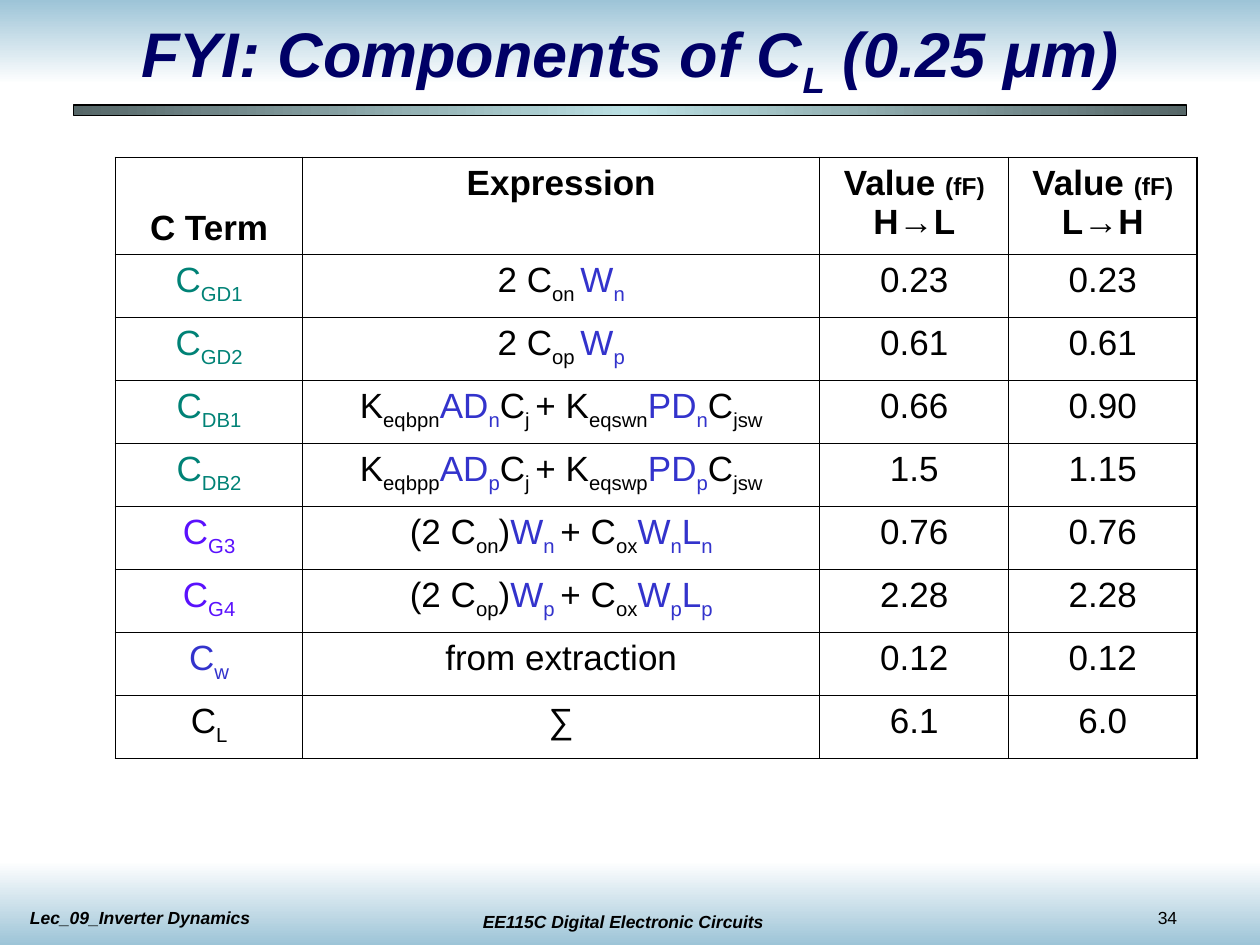
"""Builds the slide listing the components of the load capacitance."""
from lxml import etree
from pptx import Presentation
from pptx.dml.color import RGBColor
from pptx.enum.shapes import MSO_SHAPE
from pptx.enum.text import MSO_ANCHOR, PP_ALIGN
from pptx.oxml.ns import qn
from pptx.util import Pt

RECT = MSO_SHAPE.RECTANGLE
TOP, MIDDLE, BOTTOM = MSO_ANCHOR.TOP, MSO_ANCHOR.MIDDLE, MSO_ANCHOR.BOTTOM
LEFT, CENTER = PP_ALIGN.LEFT, PP_ALIGN.CENTER

BLACK = RGBColor(0x00, 0x00, 0x00)
WHITE = RGBColor(0xFF, 0xFF, 0xFF)
SKY = RGBColor(0x9D, 0xC4, 0xD7)
SLATE = RGBColor(0x56, 0x67, 0x68)
AQUA = RGBColor(0xBB, 0xE0, 0xE3)
NAVY = RGBColor(0x00, 0x00, 0x66)
TEAL = RGBColor(0x00, 0x82, 0x76)
VIOLET = RGBColor(0x5A, 0x11, 0xFD)
BLUE = RGBColor(0x33, 0x33, 0xCC)

FONT = "Arial"
THIN, THICK = 0.45, 1.08
COLUMNS = [107, 295.5, 108, 107.5]
HEADER_HEIGHT, ROW_HEIGHT = 55.5, 36
HEADER = ["C Term", "Expression", "Value *(fF)* H→L", "Value *(fF)* L→H"]
ROWS = [
    (TEAL, "C~GD1~", "2 C~on ~*W~n~*", "0.23", "0.23"),
    (TEAL, "C~GD2~", "2 C~op ~*W~p~*", "0.61", "0.61"),
    (TEAL, "C~DB1~", "K~eqbpn~*AD~n~*C~j ~+ K~eqswn~*PD~n~*C~jsw~", "0.66", "0.90"),
    (TEAL, "C~DB2~", "K~eqbpp~*AD~p~*C~j ~+ K~eqswp~*PD~p~*C~jsw~", "1.5", "1.15"),
    (VIOLET, "C~G3~", "(2 C~on~)*W~n ~*+ C~ox~*W~n~L~n~*", "0.76", "0.76"),
    (VIOLET, "C~G4~", "(2 C~op~)*W~p ~*+ C~ox~*W~p~L~p~*", "2.28", "2.28"),
    (BLUE, "C~w~", "from extraction", "0.12", "0.12"),
    (BLACK, "C~L~", "∑", "6.1", "6.0"),
]


def write(p, text, size, color=BLACK, accent=BLUE, bold=False, italic=False):
    """Write text with *accented* and ~subscript~ parts."""
    for i, part in enumerate(text.split("*")):
        for j, piece in enumerate(part.split("~")):
            if not piece:
                continue
            r = p.add_run()
            r.text = piece
            r.font.name = FONT
            r.font.size = Pt(size)
            r.font.bold = bold
            r.font.italic = italic
            r.font.color.rgb = accent if i % 2 else color
            if j % 2:
                r.font._element.set("baseline", "-25000")


def add_band(slide, left, top, width, height, colors, angle):
    """Add a rectangle with evenly spaced gradient colours."""
    s = slide.shapes.add_shape(RECT, Pt(left), Pt(top), Pt(width), Pt(height))
    s.shadow.inherit = False
    s.line.fill.background()
    s.fill.gradient()
    s.fill.gradient_angle = angle
    stops = s._element.spPr.find(".//" + qn("a:gsLst"))
    stops.clear()
    for i, color in enumerate(colors):
        position = 100000 * i // (len(colors) - 1)
        stop = etree.SubElement(stops, qn("a:gs"), pos=str(position))
        etree.SubElement(stop, qn("a:srgbClr"), val=str(color))
    return s


def add_text(slide, left, top, width, height, text, size, align=LEFT,
             anchor=TOP, **style):
    """Add a wrapped text box with one paragraph."""
    s = slide.shapes.add_textbox(Pt(left), Pt(top), Pt(width), Pt(height))
    tf = s.text_frame
    tf.word_wrap = True
    tf.vertical_anchor = anchor
    p = tf.paragraphs[0]
    p.alignment = align
    write(p, text, size, **style)


def set_borders(cell, widths):
    """Draw black left, right, top and bottom borders."""
    props = cell._tc.get_or_add_tcPr()
    for i, (side, width) in enumerate(zip("LRTB", widths)):
        line = etree.Element(qn(f"a:ln{side}"), w=str(int(Pt(width))))
        fill = etree.SubElement(line, qn("a:solidFill"))
        etree.SubElement(fill, qn("a:srgbClr"), val=str(BLACK))
        props.insert(i, line)


def fill_cell(cell, text, **style):
    """Write centred text into an unfilled cell."""
    cell.fill.background()
    p = cell.text_frame.paragraphs[0]
    p.alignment = CENTER
    write(p, text, 20, **style)


def add_capacitance_table(slide):
    """Add the table of capacitance terms, expressions and values."""
    count = len(ROWS) + 1
    height = HEADER_HEIGHT + ROW_HEIGHT * len(ROWS)
    s = slide.shapes.add_table(count, len(COLUMNS), Pt(66), Pt(90),
                               Pt(sum(COLUMNS)), Pt(height))
    table = s.table
    for column, width in zip(table.columns, COLUMNS):
        column.width = Pt(width)
    for i, row in enumerate(table.rows):
        row.height = Pt(ROW_HEIGHT if i else HEADER_HEIGHT)
    for cell, text in zip(table.rows[0].cells, HEADER):
        fill_cell(cell, text, accent=BLACK, bold=True)
        for r in cell.text_frame.paragraphs[0].runs[1:2]:
            r.font.size = Pt(14)
    table.cell(0, 0).vertical_anchor = BOTTOM
    for i, (color, *texts) in enumerate(ROWS, 1):
        for j, text in enumerate(texts):
            fill_cell(table.cell(i, j), text, color=BLACK if j else color)
    last_row, last_column = count - 1, len(COLUMNS) - 1
    for i in range(count):
        for j in range(len(COLUMNS)):
            heavy = (j == 0, j == last_column, i in (0, 1), i in (0, last_row))
            set_borders(table.cell(i, j), [THICK if h else THIN for h in heavy])


def main():
    """Build and save the slide."""
    prs = Presentation()
    prs.slide_width, prs.slide_height = Pt(720), Pt(540)
    slide = prs.slides.add_slide(prs.slide_layouts[6])
    add_band(slide, 0, 0, 720, 48, [SKY, WHITE], 270)
    add_band(slide, 0, 492, 720, 48, [WHITE, SKY], 270)
    add_text(slide, 254, 517, 204, 19.5, "EE115C Digital Electronic Circuits",
             10, CENTER, bold=True, italic=True)
    add_text(slide, 654.5, 515, 60, 19.5, "34", 10)
    add_text(slide, 10, 515, 204, 19.5, "Lec_09_Inverter Dynamics", 10,
             bold=True, italic=True)
    rule = add_band(slide, 42, 60, 636, 6, [SLATE, AQUA, SLATE], 180)
    rule.line.color.rgb = BLACK
    rule.line.width = Pt(0.75)
    add_text(slide, 54, 12, 612, 42, "FYI: Components of C~L~ (0.25 μm)", 36,
             CENTER, MIDDLE, color=NAVY, bold=True, italic=True)
    add_capacitance_table(slide)
    prs.save("out.pptx")


if __name__ == "__main__":
    main()
